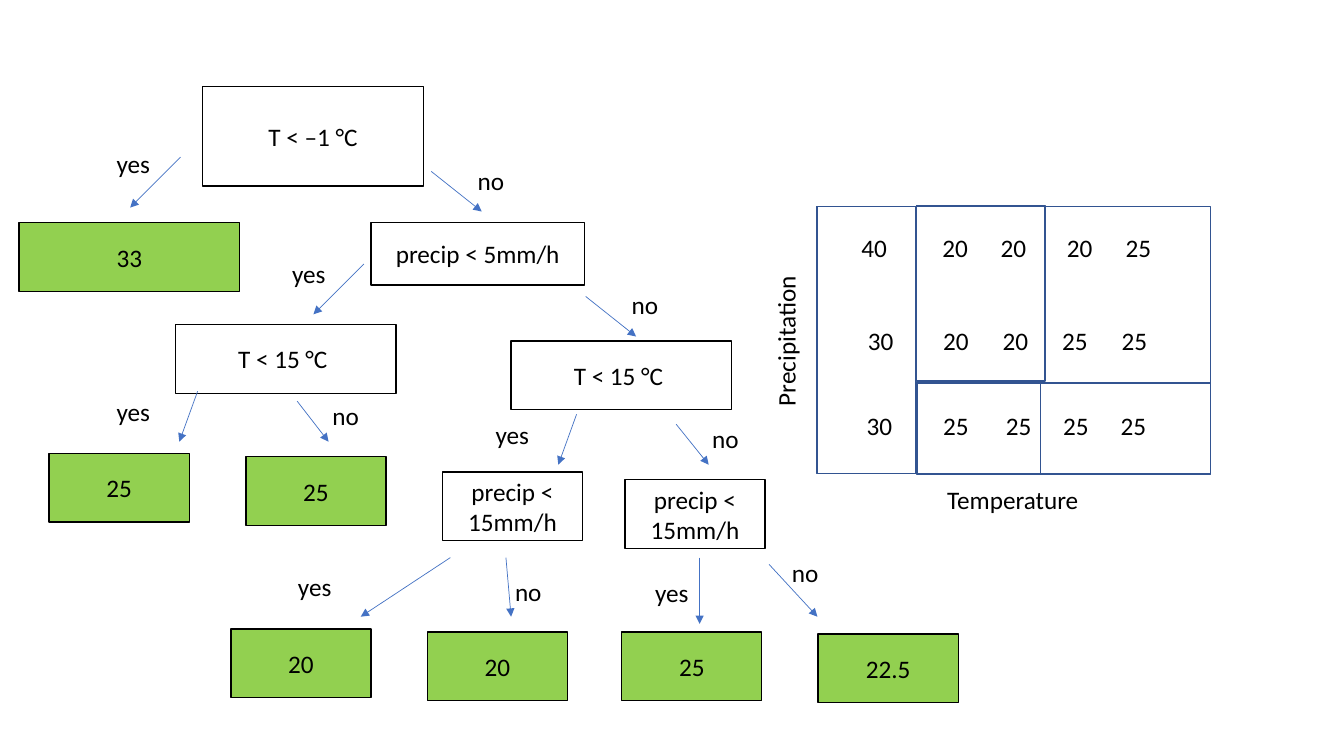
from lxml.etree import SubElement
from pptx import Presentation
from pptx.dml.color import RGBColor
from pptx.enum.shapes import MSO_CONNECTOR, MSO_SHAPE
from pptx.enum.text import MSO_ANCHOR, MSO_AUTO_SIZE, PP_ALIGN
from pptx.oxml.ns import qn
from pptx.util import Cm, Pt

BLACK, GREEN, NAVY, BLUE = "000000", "92D050", "325491", "4472C4"
WIDE, SLIM, TALL = 5.56, 3.53, 1.73

GRID = [
    (20.6, 5.21, 9.91, 6.73),
    (20.57, 5.21, 2.51, 6.73),
    (23.11, 9.65, 7.39, 2.31),
    (23.11, 9.63, 3.12, 2.31),
    (23.09, 5.18, 3.25, 4.42),
]

ROWS = [
    (5.72, [(21.46, "40"), (23.5, "20"), (24.97, "20"), (26.64, "20"), (28.12, "25")]),
    (8.07, [(21.62, "30"), (23.52, "20"), (25.02, "20"), (26.52, "25"), (28.02, "25")]),
    (10.21, [(21.59, "30"), (23.52, "25"), (25.1, "25"), (26.54, "25"), (27.99, "25")]),
]

TESTS = [
    ("T < –1 °C", 5.11, 2.18, WIDE, 2.51),
    ("precip < 5mm/h", 9.35, 5.61, 5.38, 1.57),
    ("T < 15 °C ", 4.42, 8.18, WIDE, TALL),
    ("T < 15 °C ", 12.88, 8.59, WIDE, TALL),
    ("precip < 15mm/h", 11.15, 11.89, SLIM, TALL),
    ("precip < 15mm/h", 15.75, 12.09, SLIM, TALL),
]

LEAVES = [
    ("33", 0.48, 5.61, WIDE),
    ("25", 1.24, 11.43, SLIM),
    ("25", 6.2, 11.51, SLIM),
    ("20", 5.82, 15.85, SLIM),
    ("20", 10.77, 15.93, SLIM),
    ("25", 15.67, 15.93, SLIM),
    ("22.5", 20.62, 15.98, SLIM),
]

ARMS = [
    ((4.55, 3.96, 3.28, 5.23), "yes", 2.69, 3.61),
    ((10.87, 4.32, 12.14, 5.33), "no", 11.79, 4.04),
    ((9.17, 6.65, 7.9, 7.92), "yes", 7.11, 6.38),
    ((14.76, 7.47, 16.03, 8.48), "no", 15.67, 7.16),
    ((4.98, 9.86, 4.52, 11.13), "yes", 2.69, 9.86),
    ((7.49, 10.11, 8.28, 11.13), "no", 8.13, 9.96),
    ((14.53, 10.44, 14.07, 11.71), "yes", 12.24, 10.44),
    ((17.04, 10.69, 17.86, 11.71), "no", 17.7, 10.54),
    ((11.35, 14.05, 9.09, 15.54), "yes", 7.26, 14.27),
    ((12.75, 14.05, 12.88, 15.54), "no", 12.73, 14.4),
    ((17.63, 14.05, 17.63, 15.72), "yes", 16.26, 14.43),
    ((19.38, 14.22, 20.6, 15.54), "no", 19.71, 13.92),
]


def tint(part, code):
    part.rgb = RGBColor.from_string(code)


def apply(item, form):
    for name, value in form.items():
        setattr(item, name, value)


class Board:
    font = {"name": "Calibri", "size": Pt(18)}
    inner = {"word_wrap": True, "vertical_anchor": MSO_ANCHOR.MIDDLE}
    loose = {"word_wrap": False, "auto_size": MSO_AUTO_SIZE.SHAPE_TO_FIT_TEXT}

    def __init__(self, deck):
        self.slide = deck.slides.add_slide(deck.slide_layouts[6])
        self.shapes = self.slide.shapes

    def letter(self, frame, text, form, align):
        apply(frame, form)
        para = frame.paragraphs[0]
        para.text = text
        para.alignment = align
        apply(para.font, self.font)
        tint(para.font.color, BLACK)

    def box(self, place, edge, text="", fill=None):
        shape = self.shapes.add_shape(MSO_SHAPE.RECTANGLE, *map(Cm, place))
        shape.shadow.inherit = False
        if fill:
            shape.fill.solid()
            tint(shape.fill.fore_color, fill)
        else:
            shape.fill.background()
        tint(shape.line.color, edge)
        shape.line.width = Pt(1)
        if text:
            self.letter(shape.text_frame, text, self.inner, PP_ALIGN.CENTER)

    def label(self, text, left, top, width, turn=0):
        box = self.shapes.add_textbox(*map(Cm, (left, top, width, 1.02)))
        box.rotation = turn
        self.letter(box.text_frame, text, self.loose, PP_ALIGN.LEFT)

    def arrow(self, ends):
        line = self.shapes.add_connector(MSO_CONNECTOR.STRAIGHT, *map(Cm, ends))
        tint(line.line.color, BLUE)
        line.line.width = Pt(0.5)
        props = line._element.spPr
        SubElement(props.find(qn("a:ln")), qn("a:tailEnd"), type="triangle")
        SubElement(props, qn("a:effectLst"))


def main():
    deck = Presentation()
    apply(deck, {"slide_width": Cm(33.87), "slide_height": Cm(19.05)})
    board = Board(deck)

    for place in GRID:
        board.box(place, NAVY)
    for top, cells in ROWS:
        for left, text in cells:
            board.label(text, left, top, 1.17)
    board.label("Temperature", 23.62, 12.07, 3.86)
    board.label("Precipitation", 17.88, 8.05, 3.84, 270)

    for text, *place in TESTS:
        board.box(place, BLACK, text)
    for text, left, top, width in LEAVES:
        board.box((left, top, width, TALL), BLACK, text, GREEN)
    for ends, text, left, top in ARMS:
        board.arrow(ends)
        board.label(text, left, top, 1.37 if text == "yes" else 1.19)

    deck.save("out.pptx")


if __name__ == "__main__":
    main()
